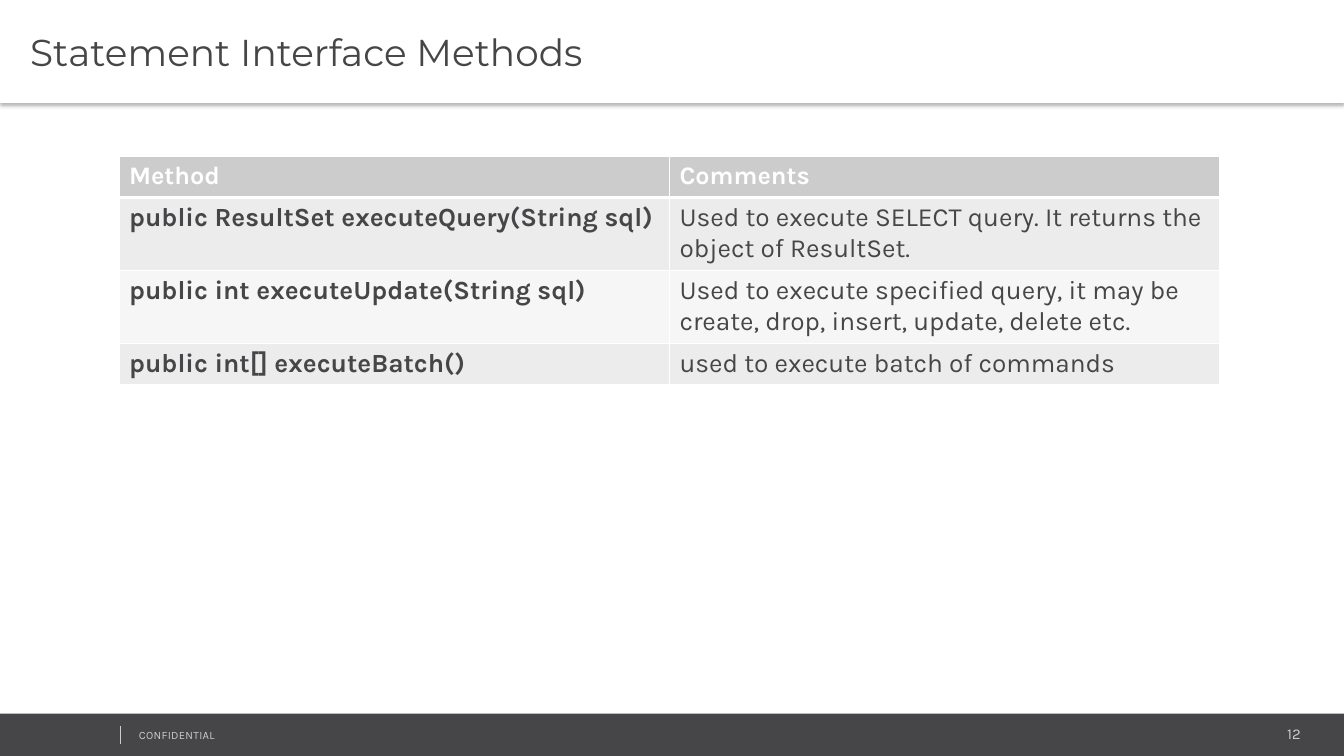
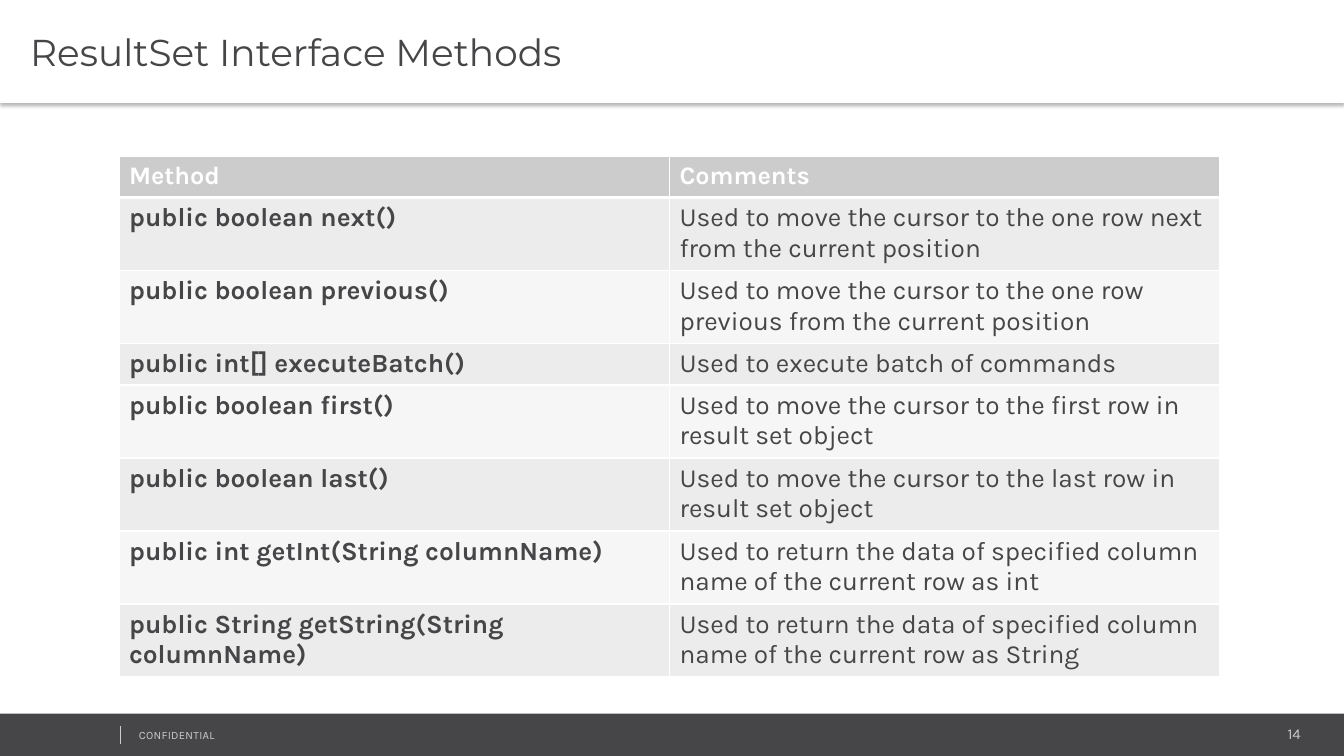
from dataclasses import dataclass

from lxml import etree
from pptx import Presentation, util as u
from pptx.dml.color import RGBColor
from pptx.enum import shapes, text
from pptx.oxml import parse_xml
from pptx.oxml.ns import nsdecls, qn

# Content
HEADINGS = ("Method", "Comments")
SLIDES = [
    dict(number=12, title="Statement Interface Methods", methods=[
        ("public ResultSet executeQuery(String sql)",
         "Used to execute SELECT query. It returns the object of ResultSet."),
        ("public int executeUpdate(String sql)",
         "Used to execute specified query, it may be create, drop, insert, update, delete etc."),
        ("public int[] executeBatch()", "used to execute batch of commands"),
    ]),
    dict(number=14, title="ResultSet Interface Methods", methods=[
        ("public boolean next()",
         "Used to move the cursor to the one row next from the current position"),
        ("public boolean previous()",
         "Used to move the cursor to the one row previous from the current position"),
        ("public int[] executeBatch()", "Used to execute batch of commands"),
        ("public boolean first()",
         "Used to move the cursor to the first row in result set object"),
        ("public boolean last()",
         "Used to move the cursor to the last row in result set object"),
        ("public int getInt(String columnName)",
         "Used to return the data of specified column name of the current row as int"),
        ("public String getString(String columnName)",
         "Used to return the data of specified column name of the current row as String"),
    ]),
]


@dataclass(frozen=True)
class Theme:
    ink: str = "464547"
    paper: str = "FFFFFF"
    muted: str = "CCCCCC"
    bands: tuple = ("ECECEC", "F6F6F6")
    title_font: str = "Montserrat"
    body_font: str = "Karla"
    title_size: float = 26.7
    heading_size: float = 18
    cell_size: float = 18.7
    number_size: float = 10.7
    footer_size: float = 8
    rule: float = 1
    heading_rule: float = 3


THEME = Theme()
WIDTH, HEIGHT = 13.33, 7.5
TITLE_HEIGHT = 1.02
FOOTER_TOP = 7.08
TABLE_LEFT, TABLE_TOP, COLUMN, ROW = 1.18, 1.55, 5.46, 0.41


def box(*lengths):
    return [u.Inches(length) for length in lengths]


def add_run(paragraph, words, size, color, font=THEME.body_font, bold=False):
    run = paragraph.add_run()
    run.text = words
    run.font.name, run.font.size, run.font.bold = font, u.Pt(size), bold
    run.font.color.rgb = RGBColor.from_string(color)
    return run


def paint(part, color):
    part.fill.solid()
    part.fill.fore_color.rgb = RGBColor.from_string(color)


def add_band(slide, top, height, color):
    band = slide.shapes.add_shape(shapes.MSO_SHAPE.RECTANGLE, *box(0, top, WIDTH, height))
    band.shadow.inherit = False
    band.line.fill.background()
    paint(band, color)
    return band


def add_label(slide, place, words, size, align):
    label = slide.shapes.add_textbox(*box(*place))
    label.text_frame.word_wrap = True
    paragraph = label.text_frame.paragraphs[0]
    paragraph.alignment = align
    return add_run(paragraph, words, size, THEME.muted)


def add_footer(slide, number):
    add_band(slide, FOOTER_TOP, HEIGHT - FOOTER_TOP, THEME.ink)
    add_label(slide, (10.82, 7.14, 2.18, 0.28), str(number), THEME.number_size,
              text.PP_ALIGN.RIGHT)
    notice = add_label(slide, (1.28, 7.18, 3.38, 0.24), "CONFIDENTIAL",
                       THEME.footer_size, text.PP_ALIGN.LEFT)
    notice.font._element.set("spc", "20")
    divider = slide.shapes.add_connector(shapes.MSO_CONNECTOR.STRAIGHT,
                                         *box(1.19, 7.2, 1.19, 7.38))
    divider.line.color.rgb = RGBColor.from_string(THEME.muted)
    divider.line.width = u.Pt(0.25)
    etree.SubElement(divider._element.spPr, qn("a:effectLst"))


def add_title(slide, words):
    band = add_band(slide, 0, TITLE_HEIGHT, THEME.paper)
    # Soft shadow below the title band
    effects = band._element.spPr.find(qn("a:effectLst"))
    effects.append(parse_xml(
        f'<a:outerShdw {nsdecls("a")} blurRad="{u.Pt(3.1)}" dist="{u.Pt(2)}" '
        'dir="5400000" algn="t" rotWithShape="0"><a:srgbClr val="000000">'
        '<a:alpha val="30000"/></a:srgbClr></a:outerShdw>'))
    frame = band.text_frame
    frame.word_wrap = True
    frame.vertical_anchor = text.MSO_ANCHOR.MIDDLE
    (frame.margin_left, frame.margin_top,
     frame.margin_right, frame.margin_bottom) = box(0.3, 0.04, 0.07, 0.04)
    frame.paragraphs[0].alignment = text.PP_ALIGN.LEFT
    add_run(frame.paragraphs[0], words, THEME.title_size, THEME.ink, THEME.title_font)


def set_borders(cell, top, bottom):
    widths = dict(L=THEME.rule, R=THEME.rule, T=top, B=bottom)
    for index, (side, width) in enumerate(widths.items()):
        cell._tc.get_or_add_tcPr().insert(index, parse_xml(
            f'<a:ln{side} {nsdecls("a")} w="{u.Pt(width)}"><a:solidFill>'
            f'<a:srgbClr val="{THEME.paper}"/></a:solidFill></a:ln{side}>'))


def add_methods(slide, methods):
    rows = [HEADINGS, *methods]
    columns = len(HEADINGS)
    table = slide.shapes.add_table(len(rows), columns, *box(
        TABLE_LEFT, TABLE_TOP, COLUMN * columns, ROW * len(rows))).table
    for r, row in enumerate(rows):
        heading = r == 0
        table.rows[r].height = u.Inches(ROW)
        for c, words in enumerate(row):
            cell = table.cell(r, c)
            paint(cell, THEME.muted if heading else THEME.bands[(r - 1) % 2])
            set_borders(cell,
                        top=THEME.heading_rule if r == 1 else THEME.rule,
                        bottom=THEME.heading_rule if heading else THEME.rule)
            add_run(cell.text_frame.paragraphs[0], words,
                    THEME.heading_size if heading else THEME.cell_size,
                    THEME.paper if heading else THEME.ink,
                    bold=heading or c == 0)


def main():
    deck = Presentation()
    deck.slide_width, deck.slide_height = box(WIDTH, HEIGHT)
    for content in SLIDES:
        slide = deck.slides.add_slide(deck.slide_layouts[6])
        add_footer(slide, content["number"])
        add_title(slide, content["title"])
        add_methods(slide, content["methods"])
    deck.save("out.pptx")


if __name__ == "__main__":
    main()
